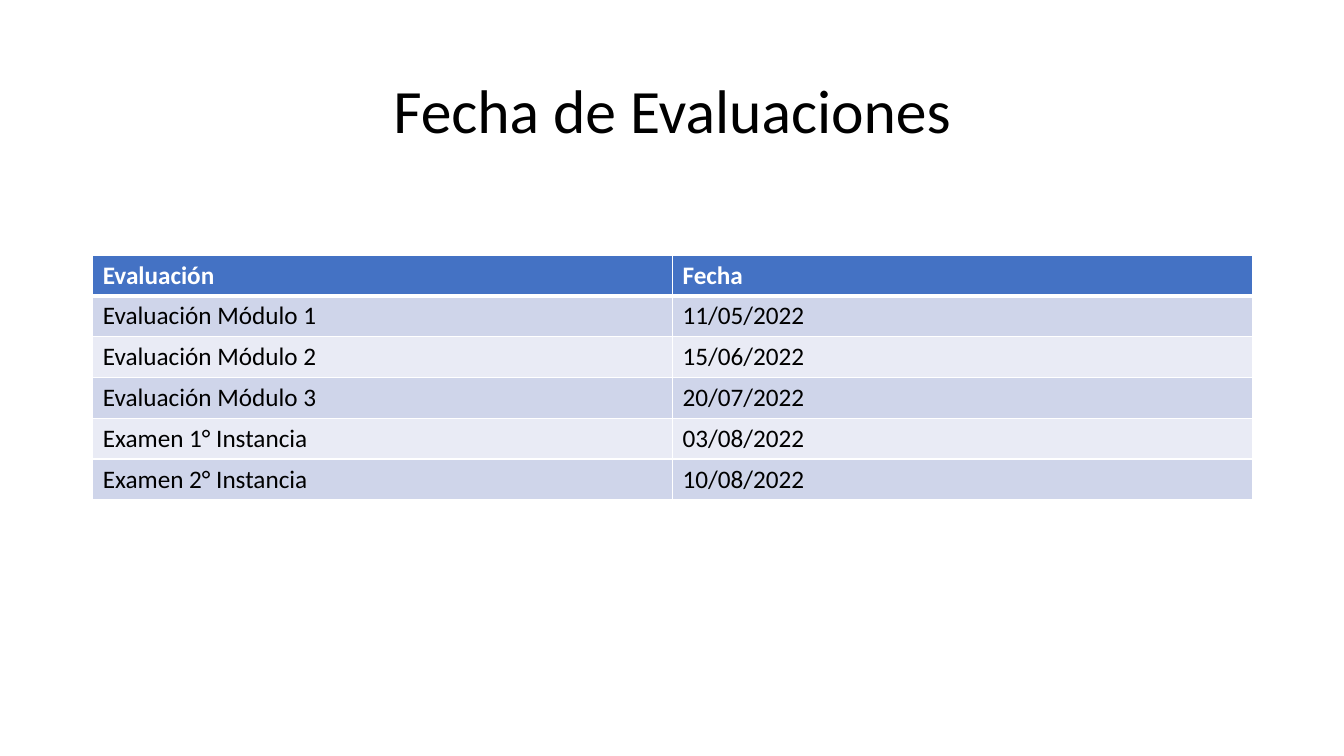
from dataclasses import dataclass

import lxml.etree
import pptx
import pptx.dml.color
import pptx.enum.text
import pptx.oxml.ns
import pptx.table
import pptx.text.text
import pptx.util

Inches = pptx.util.Inches
Pt = pptx.util.Pt

FONT = "Calibri"
BLACK = "000000"
WHITE = "FFFFFF"
HEADER_FILL = "4472C4"
BAND_FILLS = ("CFD5EA", "E9EBF5")
LEFT = 0.92
CONTENT_WIDTH = 11.5
TABLE_TOP = 2.53
TABLE_HEIGHT = 2.43


@dataclass(frozen=True)
class Evaluation:
    name: str
    date: str


HEADER = Evaluation("Evaluación", "Fecha")
EVALUATIONS = (
    Evaluation("Evaluación Módulo 1", "11/05/2022"),
    Evaluation("Evaluación Módulo 2", "15/06/2022"),
    Evaluation("Evaluación Módulo 3", "20/07/2022"),
    Evaluation("Examen 1° Instancia", "03/08/2022"),
    Evaluation("Examen 2° Instancia", "10/08/2022"),
)


def color(value: str) -> pptx.dml.color.RGBColor:
    return pptx.dml.color.RGBColor.from_string(value)


def write_text(
    frame: pptx.text.text.TextFrame,
    text: str,
    *,
    size: float = 18,
    font_color: str = BLACK,
    bold: bool = False,
    alignment: pptx.enum.text.PP_ALIGN = pptx.enum.text.PP_ALIGN.LEFT,
    line_spacing: float = 1.0,
) -> None:
    paragraph = frame.paragraphs[0]
    paragraph.alignment = alignment
    paragraph.line_spacing = line_spacing
    run = paragraph.add_run()
    run.text = text
    run.font.name = FONT
    run.font.size = Pt(size)
    run.font.bold = bold
    run.font.color.rgb = color(font_color)


def add_borders(cell: pptx.table._Cell, *, top: float, bottom: float) -> None:
    properties = cell._tc.get_or_add_tcPr()
    qualify = pptx.oxml.ns.qn
    for side, width in (("L", 1), ("R", 1), ("T", top), ("B", bottom)):
        line = lxml.etree.SubElement(properties, qualify(f"a:ln{side}"), w=str(Pt(width)))
        fill = lxml.etree.SubElement(line, qualify("a:solidFill"))
        lxml.etree.SubElement(fill, qualify("a:srgbClr"), val=WHITE)


def add_title(slide: pptx.slide.Slide, text: str) -> None:
    shape = slide.shapes.add_textbox(
        Inches(LEFT), Inches(0.4), Inches(CONTENT_WIDTH), Inches(1.45)
    )
    frame = shape.text_frame
    frame.word_wrap = True
    frame.vertical_anchor = pptx.enum.text.MSO_ANCHOR.MIDDLE
    write_text(
        frame,
        text,
        size=44,
        alignment=pptx.enum.text.PP_ALIGN.CENTER,
        line_spacing=0.9,
    )


def add_evaluation_table(slide: pptx.slide.Slide) -> None:
    evaluations = (HEADER, *EVALUATIONS)
    table = slide.shapes.add_table(
        len(evaluations),
        2,
        Inches(LEFT),
        Inches(TABLE_TOP),
        Inches(CONTENT_WIDTH),
        Inches(TABLE_HEIGHT),
    ).table
    for row, evaluation in enumerate(evaluations):
        is_header = row == 0
        fill = HEADER_FILL if is_header else BAND_FILLS[(row - 1) % 2]
        for column, text in enumerate((evaluation.name, evaluation.date)):
            cell = table.cell(row, column)
            add_borders(cell, top=3 if row == 1 else 1, bottom=3 if is_header else 1)
            cell.fill.solid()
            cell.fill.fore_color.rgb = color(fill)
            write_text(
                cell.text_frame,
                text,
                font_color=WHITE if is_header else BLACK,
                bold=is_header,
            )


def main() -> None:
    presentation = pptx.Presentation()
    presentation.slide_width = Inches(13.33)
    presentation.slide_height = Inches(7.5)
    slide = presentation.slides.add_slide(presentation.slide_layouts[6])
    add_title(slide, "Fecha de Evaluaciones")
    add_evaluation_table(slide)
    presentation.save("out.pptx")


if __name__ == "__main__":
    main()
